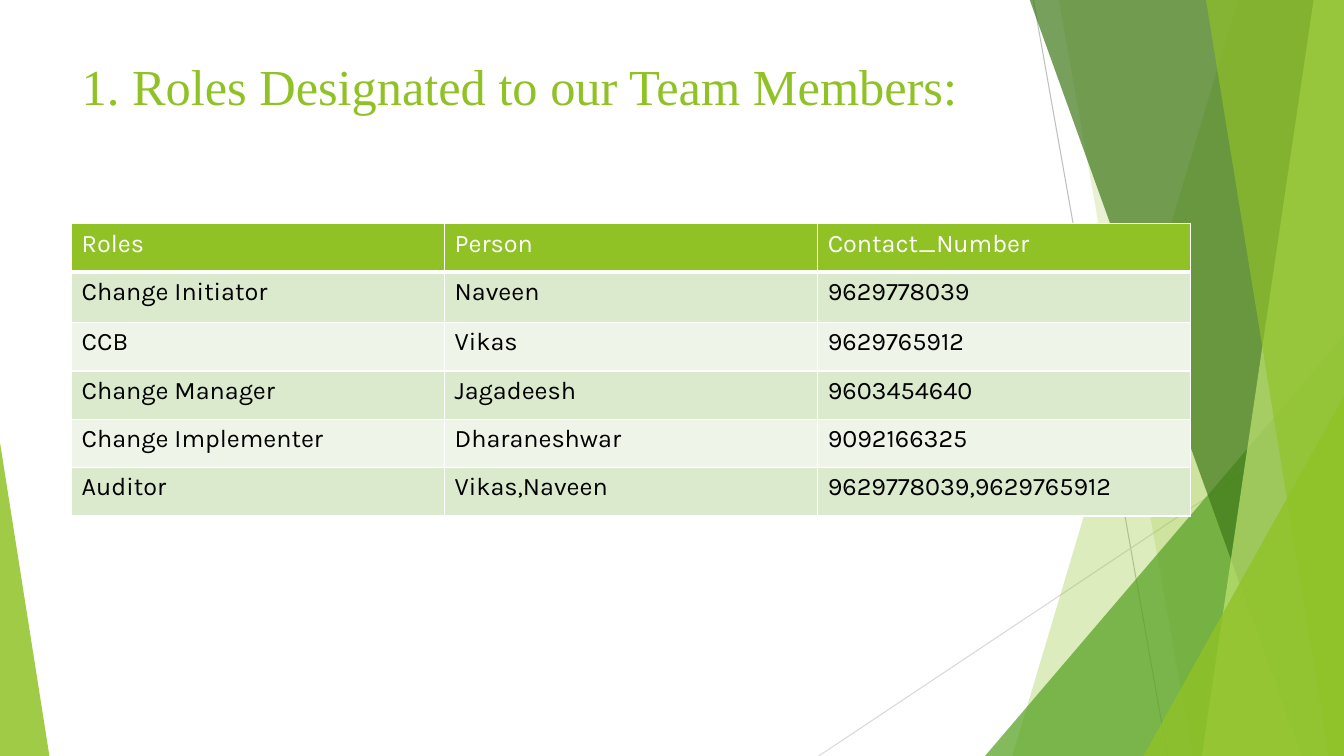
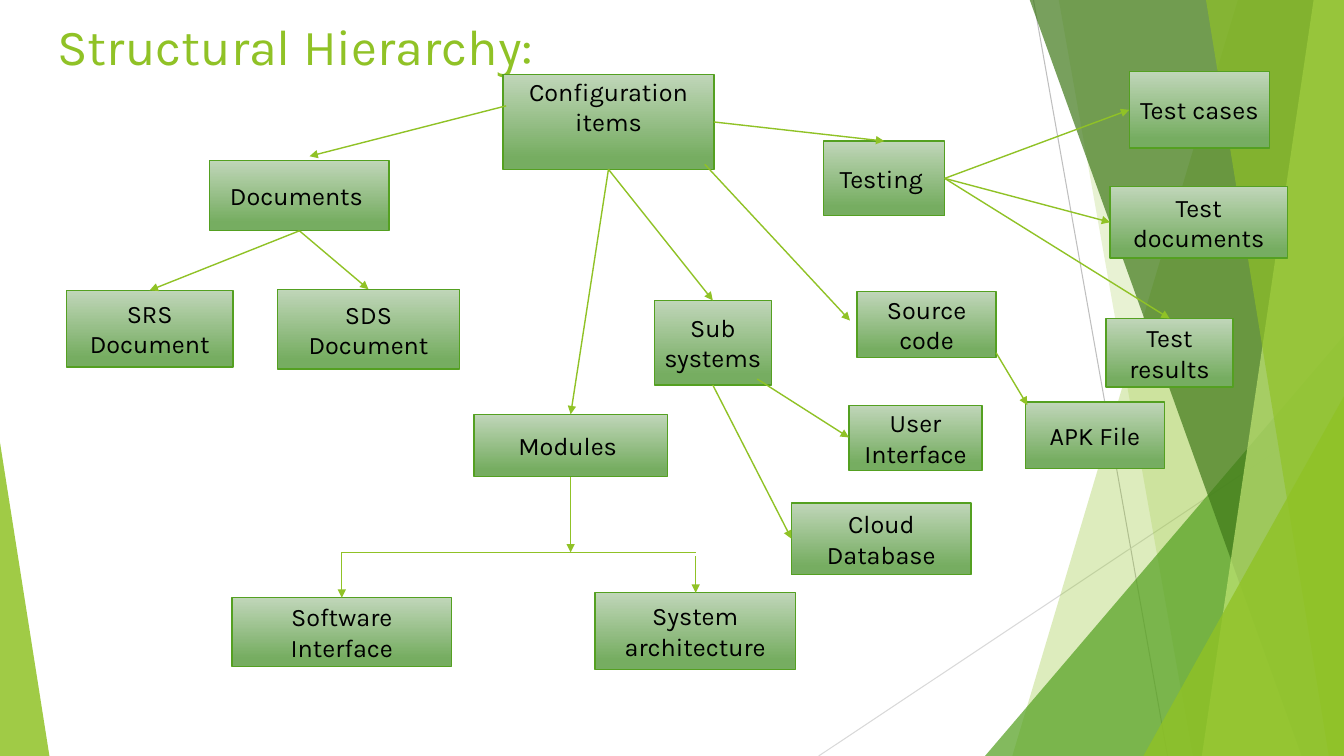
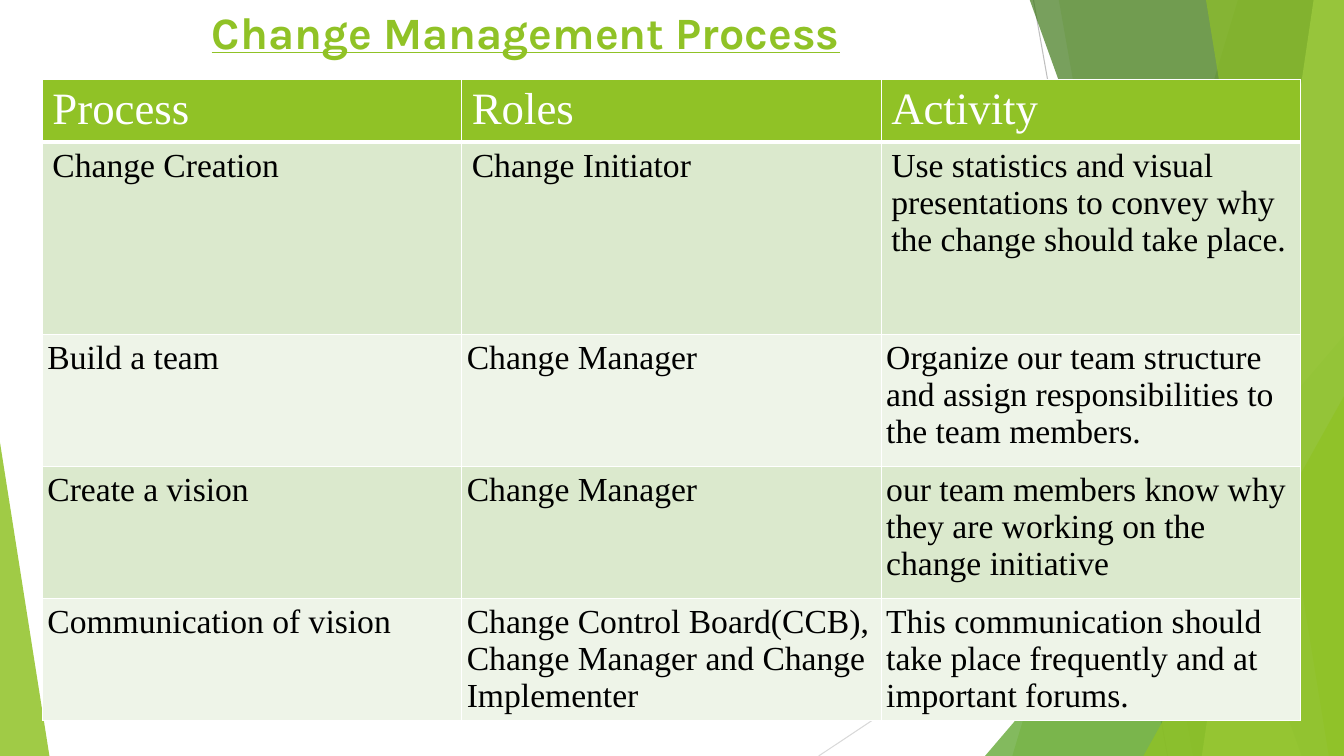
from pptx import Presentation
from pptx.dml.color import RGBColor
from pptx.enum.shapes import MSO_CONNECTOR, MSO_SHAPE
from pptx.enum.text import MSO_ANCHOR, MSO_AUTO_SIZE, PP_ALIGN
from pptx.oxml.ns import qn
from pptx.util import Cm, Pt
from lxml.etree import SubElement

WIDTH, HEIGHT = 13.33, 7.5
LIME, GREEN, DARK, PALE = "90C226", "54A021", "3F7819", "C0E474"
WHITE, BLACK = "FFFFFF", "000000"
BANDS = ("DBE9CD", "EEF4E8")
SANS, SERIF = "Karla", "Times New Roman"
TOP, LEFT, BOTTOM, RIGHT = range(4)

ROLES = [
    ("Roles", "Person", "Contact_Number"),
    ("Change Initiator", "Naveen", "9629778039"),
    ("CCB", "Vikas", "9629765912"),
    ("Change Manager", "Jagadeesh", "9603454640"),
    ("Change Implementer", "Dharaneshwar", "9092166325"),
    ("Auditor", "Vikas,Naveen", "9629778039,9629765912"),
]

PROCESS = [
    ("Process", "Roles", "Activity"),
    ("Change Creation", "Change Initiator",
     "Use statistics and visual presentations to convey why the change should take place."),
    ("Build a team", "Change Manager",
     "Organize our team structure and assign responsibilities to the team members."),
    ("Create a vision", "Change Manager",
     "our team members know why they are working on the change initiative"),
    ("Communication of vision",
     "Change Control Board(CCB),\nChange Manager and Change Implementer",
     "This communication should take place frequently and at important forums. "),
]

ITEMS = {
    "Configuration items": (4.99, 0.74, 2.09, 0.94),
    "SRS Document": (0.66, 2.88, 1.65, 0.76),
    "Modules ": (4.7, 4.11, 1.92, 0.62),
    "Documents ": (2.08, 1.59, 1.78, 0.7),
    "Testing ": (8.17, 1.4, 1.2, 0.74),
    "Sub systems": (6.49, 2.98, 1.16, 0.84),
    "Test cases": (11.2, 0.71, 1.39, 0.76),
    "SDS Document": (2.75, 2.87, 1.81, 0.79),
    "Software Interface": (2.3, 5.93, 2.18, 0.68),
    "Source code": (8.5, 2.89, 1.38, 0.66),
    "System architecture": (5.9, 5.88, 1.99, 0.76),
    "Test documents": (11.01, 1.85, 1.76, 0.71),
    "Test results": (10.97, 3.16, 1.26, 0.68),
    "User Interface": (8.42, 4.02, 1.32, 0.65),
    "Cloud Database": (7.85, 4.99, 1.78, 0.71),
    "APK File": (10.17, 3.99, 1.38, 0.66),
}

LINKS = [
    ("Configuration items", RIGHT, "Testing ", TOP),
    ("Configuration items", BOTTOM, "Modules ", TOP),
    ("Configuration items", BOTTOM, "Sub systems", TOP),
    ("Documents ", BOTTOM, "SDS Document", TOP),
    ("Documents ", BOTTOM, "SRS Document", TOP),
    ("Testing ", RIGHT, "Test cases", LEFT),
    ("Testing ", RIGHT, "Test results", TOP),
    ("Testing ", RIGHT, "Test documents", LEFT),
    ("Sub systems", BOTTOM, "Cloud Database", LEFT),
]

FREE_ARROWS = [
    ((5.02, 1.05), (3.07, 1.55)),
    ((6.99, 1.63), (8.43, 3.18)),
    ((7.51, 3.76), (8.42, 4.34)),
    ((9.88, 3.5), (10.19, 4.02)),
    ((5.66, 4.73), (5.66, 5.48)),
    ((3.39, 5.48), (3.39, 5.93)),
    ((6.9, 5.52), (6.9, 5.88)),
]


def size(inches):
    """Turn a length on the 13.33 by 7.5 grid into a Cm length."""
    return Cm(inches * 2.54)


def sizes(values):
    """Turn several grid lengths into Cm lengths."""
    return [size(value) for value in values]


def colour(code):
    """Turn a hex string into a colour."""
    return RGBColor.from_string(code)


def style_text(frame, font, points, code, bold=False, underline=False, align=PP_ALIGN.LEFT):
    """Format every run of a text frame."""
    for paragraph in frame.paragraphs:
        paragraph.alignment = align
        for span in paragraph.runs:
            span.font.name = font
            span.font.size = Pt(points)
            span.font.bold = bold
            span.font.underline = underline
            span.font.color.rgb = colour(code)


def set_title(page, text, place, font=SANS, points=36, bold=False, underline=False):
    """Fill, place and format the title placeholder."""
    title = page.shapes.title
    title.left, title.top, title.width, title.height = sizes(place)
    frame = title.text_frame
    frame.text = text
    frame.auto_size = MSO_AUTO_SIZE.NONE
    frame.vertical_anchor = MSO_ANCHOR.TOP
    style_text(frame, font, points, LIME, bold, underline)


def add_line(page, start, end, code=LIME, points=1, arrow=False):
    """Draw a straight line, with an arrowhead if asked."""
    line = page.shapes.add_connector(MSO_CONNECTOR.STRAIGHT, *sizes(start + end))
    line.line.color.rgb = colour(code)
    line.line.width = Pt(points)
    properties = line.element.spPr
    if arrow:
        SubElement(properties.find(qn("a:ln")), qn("a:tailEnd"), type="triangle")
    SubElement(properties, qn("a:effectLst"))
    return line


def tint(shape, code, opacity):
    """Give a shape a see-through fill and no outline."""
    shape.shadow.inherit = False
    shape.line.fill.background()
    shape.fill.solid()
    shape.fill.fore_color.rgb = colour(code)
    mark = shape.element.spPr.find(qn("a:solidFill"))[0]
    SubElement(mark, qn("a:alpha"), val=str(opacity * 1000))


def add_pane(page, top_x, bottom_x, code, opacity):
    """Draw a slanted pane that reaches the right edge."""
    outline = page.shapes.build_freeform(size(top_x), size(-0.01))
    corners = [(WIDTH, -0.01), (WIDTH, HEIGHT), (bottom_x, HEIGHT)]
    outline.add_line_segments([sizes(corner) for corner in corners])
    tint(outline.convert_to_shape(), code, opacity)


def add_wedge(page, left, top, width, peak, code, opacity):
    """Draw a triangle that stands on the bottom edge."""
    place = sizes((left, top, width, HEIGHT - top))
    wedge = page.shapes.add_shape(MSO_SHAPE.ISOSCELES_TRIANGLE, *place)
    wedge.adjustments[0] = peak
    tint(wedge, code, opacity)


def decorate_layout(layout, page):
    """Draw the green facets and move them to the shared layout."""
    add_line(page, (10.25, 0), (11.58, HEIGHT), "BFBFBF", 0.75)
    add_line(page, (WIDTH, 4.03), (8.12, HEIGHT), "D9D9D9", 0.75)
    add_pane(page, 12.28, 10.04, LIME, 30)
    add_pane(page, 10.5, 11.83, LIME, 20)
    add_wedge(page, 9.77, 3.33, 3.56, 1, GREEN, 72)
    add_pane(page, 10.21, 12.91, DARK, 70)
    add_pane(page, 13.03, 11.92, PALE, 70)
    add_pane(page, 11.96, 13.18, LIME, 65)
    add_wedge(page, 11.34, 3.93, 1.99, 1, LIME, 80)
    add_wedge(page, 0, 4.39, 0.49, 0, LIME, 85)
    for number, facet in enumerate(list(page.shapes)[1:], start=20):
        facet.element.xpath(".//p:cNvPr")[0].set("id", str(number))
        layout.shapes.element.append(facet.element)


def set_borders(cell, bottom):
    """Draw white borders round a cell."""
    properties = cell._tc.get_or_add_tcPr()
    widths = {"a:lnL": 1, "a:lnR": 1, "a:lnT": 1, "a:lnB": bottom}
    for place, (side, points) in enumerate(widths.items()):
        border = SubElement(properties, qn(side), w=str(Pt(points)))
        fill = SubElement(border, qn("a:solidFill"))
        SubElement(fill, qn("a:srgbClr"), val=WHITE)
        properties.insert(place, border)


def add_grid(page, rows, left, top, column, heights, font, header_points, points, tight_from):
    """Draw a banded table; rows from tight_from on have narrow margins."""
    place = sizes((left, top, column * len(rows[0]), sum(heights)))
    table = page.shapes.add_table(len(rows), len(rows[0]), *place).table
    table.horz_banding = False
    for part in table.columns:
        part.width = size(column)
    for number, (texts, height) in enumerate(zip(rows, heights)):
        header = number == 0
        table.rows[number].height = size(height)
        for cell, text in zip(table.rows[number].cells, texts):
            cell.text_frame.text = text
            style_text(cell.text_frame, font, header_points if header else points,
                       WHITE if header else BLACK)
            cell.fill.solid()
            cell.fill.fore_color.rgb = colour(LIME if header else BANDS[(number - 1) % 2])
            set_borders(cell, 3 if header else 1)
            if number >= tight_from:
                cell.margin_left = cell.margin_right = size(0.05)


def add_item(page, text, place):
    """Draw one box of the hierarchy."""
    box = page.shapes.add_shape(MSO_SHAPE.RECTANGLE, *sizes(place))
    box.shadow.inherit = False
    box.fill.gradient()
    box.fill.gradient_angle = 270
    for stop, position, code in zip(box.fill.gradient_stops, (0, 0.88), ("C0D6B9", "76AD61")):
        stop.position = position
        stop.color.rgb = colour(code)
    box.line.color.rgb = colour(GREEN)
    box.line.width = Pt(1)
    box.text_frame.text = text
    box.text_frame.vertical_anchor = MSO_ANCHOR.MIDDLE
    style_text(box.text_frame, SANS, 18, BLACK, align=PP_ALIGN.CENTER)
    return box


def draw_hierarchy(page):
    """Draw the boxes and the arrows between them."""
    boxes = {text: add_item(page, text, place) for text, place in ITEMS.items()}
    boxes["Configuration items"].text_frame.margin_bottom = size(0.35)
    for source, source_side, target, target_side in LINKS:
        arrow = add_line(page, (0, 0), (1, 1), arrow=True)
        arrow.begin_connect(boxes[source], source_side)
        arrow.end_connect(boxes[target], target_side)
    for start, end in FREE_ARROWS:
        add_line(page, start, end, arrow=True)
    add_line(page, (3.39, 5.48), (6.9, 5.48))


def main():
    """Build and save the deck."""
    deck = Presentation()
    deck.slide_width, deck.slide_height = size(WIDTH), size(HEIGHT)
    layout = deck.slide_layouts.get_by_name("Title Only")
    roles, hierarchy, process = [deck.slides.add_slide(layout) for _ in range(3)]
    decorate_layout(layout, roles)

    set_title(roles, "1. Roles Designated to our Team Members:", (0.71, 0.5, 10.55, 1.21), SERIF)
    add_grid(roles, ROLES, 0.71, 2.22, 3.7, (0.48, 0.5, 0.48, 0.48, 0.48, 0.48),
             SANS, 18, 18, len(ROLES))

    set_title(hierarchy, "Structural Hierarchy:", (0.47, 0.1, 9.4, 1.44))
    draw_hierarchy(hierarchy)

    set_title(process, "Change Management Process", (2, 0, 8.67, 0.92),
              points=32, bold=True, underline=True)
    add_grid(process, PROCESS, 0.42, 0.79, 4.16, (0.62, 1.91, 1.31, 1.31, 1.08),
             SERIF, 32, 24, 2)
    deck.save("out.pptx")


main()
